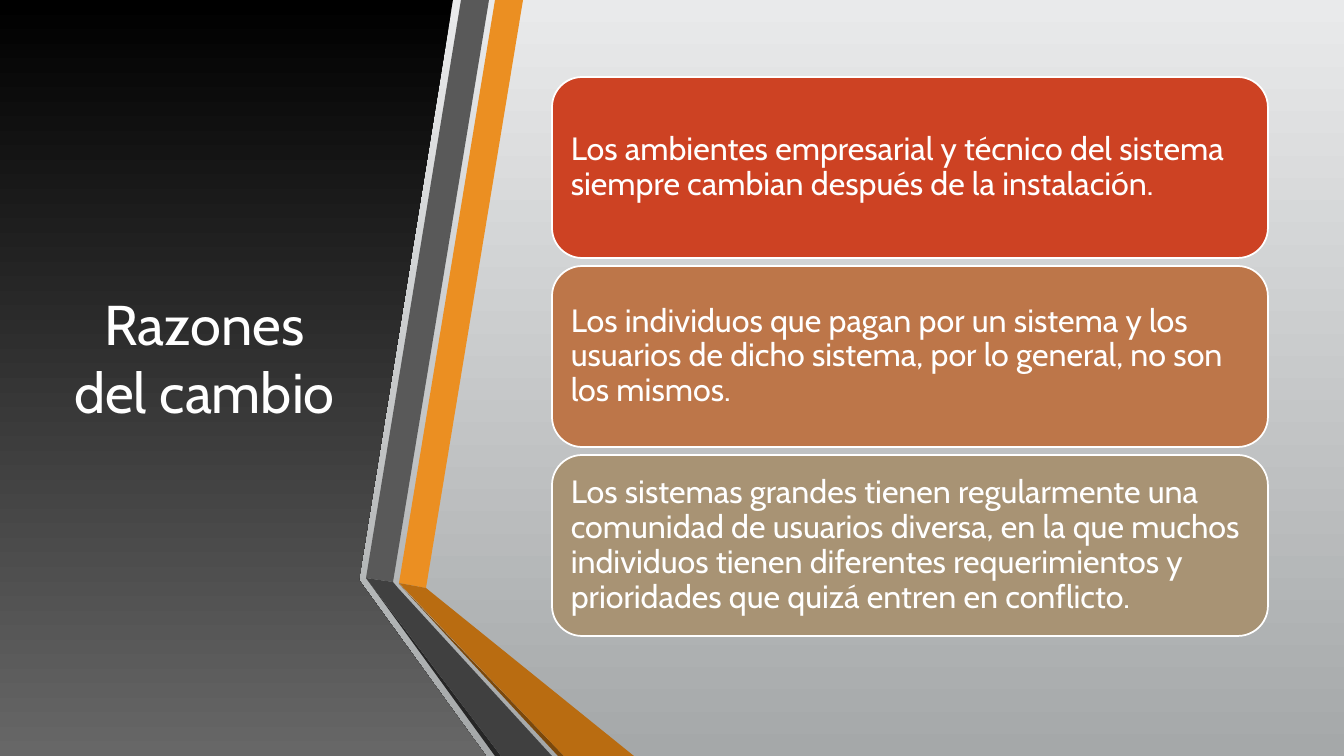
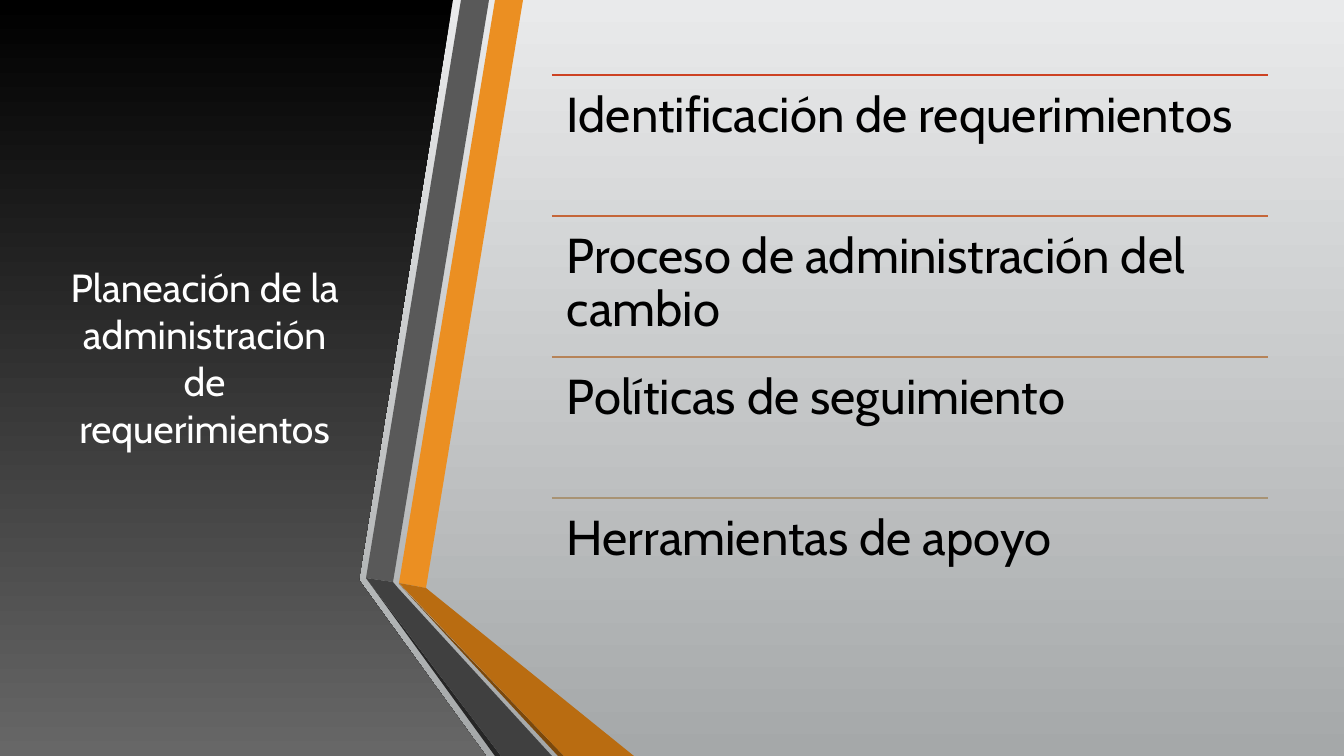
"""Build two slides that share a dark title panel and a folded ribbon."""
from pptx import Presentation
from pptx import util as u
from pptx.dml.color import RGBColor
from pptx.enum import shapes, text
from pptx.oxml.xmlchemy import OxmlElement

FONT, WHITE, BLACK = "Cabin", "FFFFFF", "000000"
SIZE = (1344, 756)
TITLE = (59, 76, 291, 562)
LEFT, WIDE = 552, 716
BACK = ("E9EAEB", "A5A8A9")
SHADE = (BLACK, "676767")
PANEL = [(0, 0), (453, 0), (359, 580), (486, 756), (0, 756)]
RIBBON = [
    ("EB8F22", [(399, 583), (426, 588), (523, 0), (495, 0)]),
    ("595959", [(489, 0), (461, 0), (366, 578), (393, 582)]),
    ("262626", [(366, 578), (495, 756), (501, 756)]),
    ("7B480B", [(399, 584), (558, 756), (564, 756)]),
    ("B96C11", [(399, 583), (564, 756), (634, 756), (426, 588)]),
    ("404040", [(552, 756), (398, 588), (393, 582), (366, 578), (501, 756)]),
]
REASONS = [
    ("CD4223", "Los ambientes empresarial y técnico del sistema siempre "
               "cambian después de la instalación."),
    ("BD7649", "Los individuos que pagan por un sistema y los usuarios de "
               "dicho sistema, por lo general, no son los mismos."),
    ("A89374", "Los sistemas grandes tienen regularmente una comunidad de "
               "usuarios diversa, en la que muchos individuos tienen "
               "diferentes requerimientos y prioridades que quizá entren "
               "en conflicto."),
]
PLANS = [
    ("CD4223", "Identificación de requerimientos"),
    ("C56639", "Proceso de administración del cambio"),
    ("B68358", "Políticas de seguimiento"),
    ("A89374", "Herramientas de apoyo"),
]
SCALE = 914400 / 100.8


def px(*vals):
    return [u.Emu(round(v * SCALE)) for v in vals]


def rgb(code):
    return RGBColor.from_string(code)


def blend(fill, ends):
    fill.gradient()
    fill.gradient_angle = 270
    for stop, code in zip(fill.gradient_stops, ends):
        stop.color.rgb = rgb(code)


def write(shape, words, size, color, pad=10, align=text.PP_ALIGN.LEFT,
          anchor=text.MSO_ANCHOR.MIDDLE, lead=0.9):
    frame = shape.text_frame
    frame.word_wrap = True
    frame.auto_size = text.MSO_AUTO_SIZE.NONE
    frame.vertical_anchor = anchor
    frame.margin_left, frame.margin_top = px(pad, pad)
    frame.margin_right, frame.margin_bottom = px(pad, pad)
    para = frame.paragraphs[0]
    para.alignment, para.line_spacing = align, lead
    run = para.add_run()
    run.text = words
    run.font.name, run.font.size = FONT, u.Pt(size)
    run.font.color.rgb = rgb(color)


def outline(slide, points):
    draft = slide.shapes.build_freeform(*points[0], scale=SCALE)
    draft.add_line_segments(points[1:], close=True)
    shape = draft.convert_to_shape()
    shape.shadow.inherit = False
    shape.line.fill.background()
    return shape


def start(words, size):
    slide = deck.slides.add_slide(layout)
    blend(outline(slide, PANEL).fill, SHADE)
    for color, points in RIBBON:
        fill = outline(slide, points).fill
        fill.solid()
        fill.fore_color.rgb = rgb(color)
    title = slide.shapes.title
    title.element.getparent().append(title.element)
    write(title, words, size, WHITE, align=text.PP_ALIGN.CENTER, lead=1.0)
    return slide


def card(slide, top, color, words):
    box = slide.shapes.add_shape(shapes.MSO_SHAPE.ROUNDED_RECTANGLE,
                                 *px(LEFT, top, WIDE, 181))
    box.shadow.inherit = False
    box.fill.solid()
    box.fill.fore_color.rgb = rgb(color)
    box.line.color.rgb, box.line.width = rgb(WHITE), u.Pt(1.25)
    write(box, words, 23, WHITE)


def entry(slide, top, color, words):
    rule = slide.shapes.add_connector(shapes.MSO_CONNECTOR.STRAIGHT,
                                      *px(LEFT, top, LEFT + WIDE, top))
    rule.line.color.rgb, rule.line.width = rgb(color), u.Pt(1.25)
    rule.element.spPr.append(OxmlElement("a:effectLst"))
    box = slide.shapes.add_textbox(*px(LEFT, top, WIDE, 141))
    write(box, words, 35, BLACK, pad=15, anchor=text.MSO_ANCHOR.TOP)


deck = Presentation()
deck.slide_width, deck.slide_height = px(*SIZE)
blend(deck.slide_master.background.fill, BACK)
layout = deck.slide_layouts[5]
head = layout.placeholders[0]
head.left, head.top, head.width, head.height = px(*TITLE)

for words, size, draw, top, step, items in [
    ("Razones del cambio", 40, card, 77, 189, REASONS),
    ("Planeación de la administración de requerimientos", 28,
     entry, 75, 141, PLANS),
]:
    slide = start(words, size)
    for i, item in enumerate(items):
        draw(slide, top + i * step, *item)

deck.save("out.pptx")
